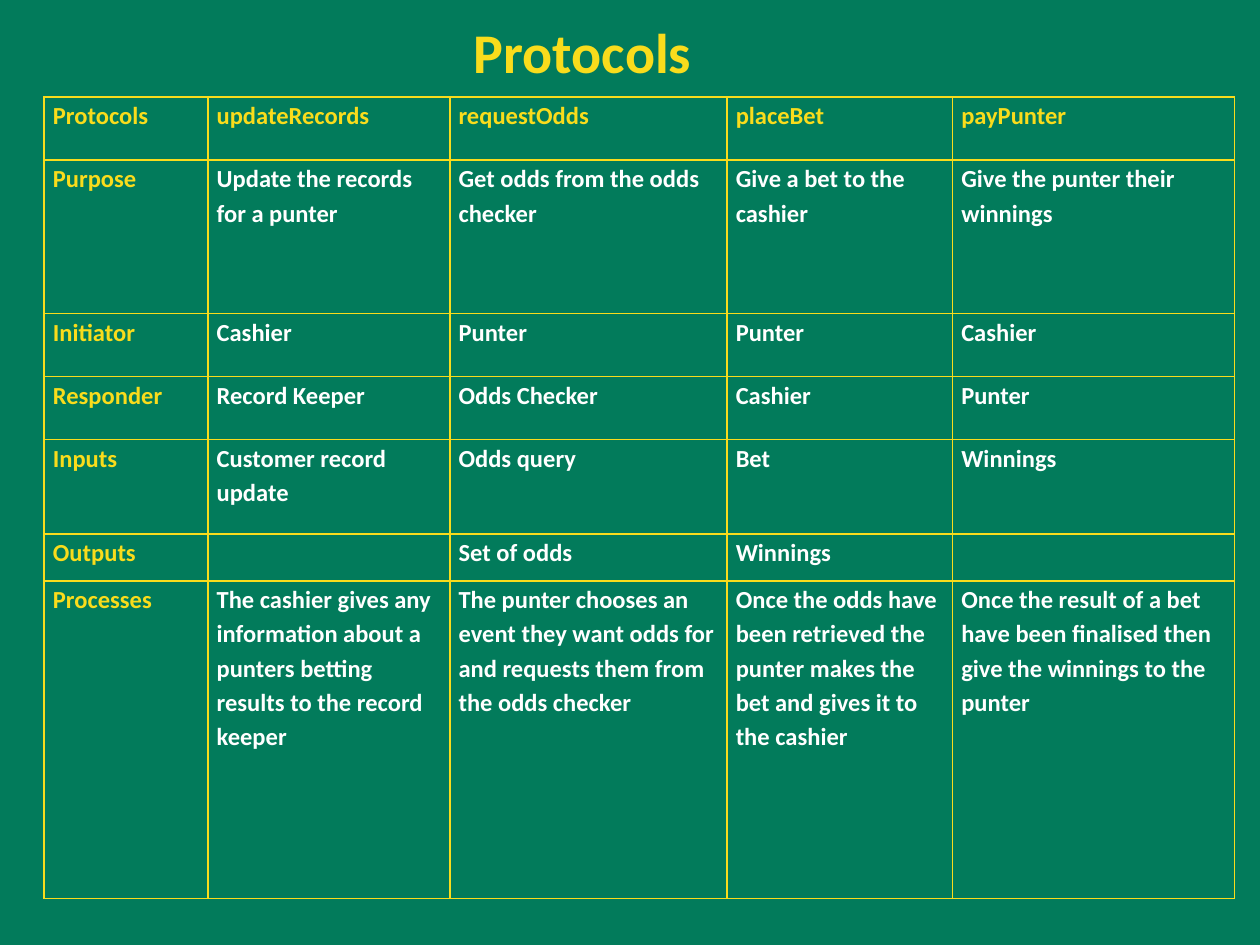
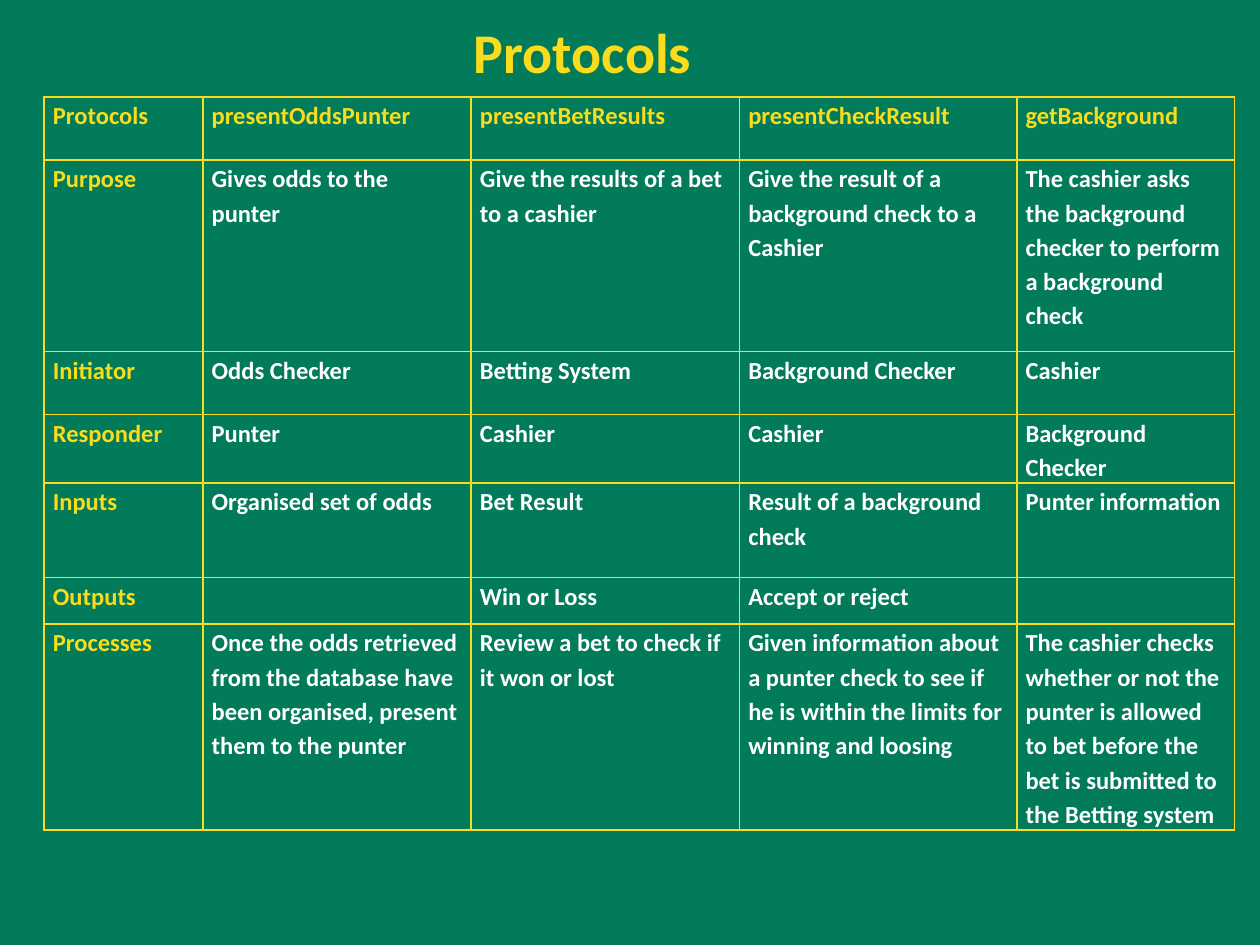
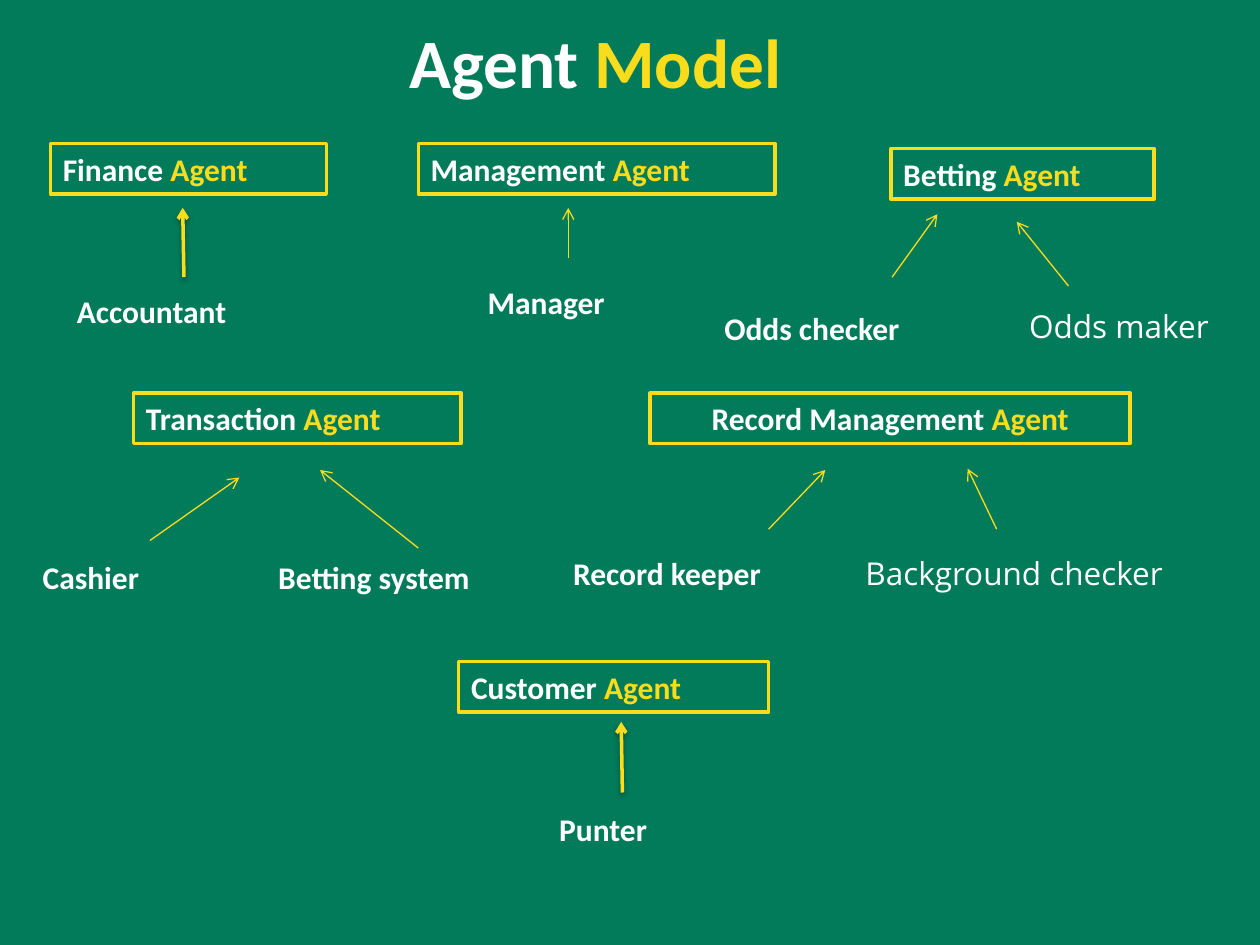
from dataclasses import dataclass

from lxml.etree import SubElement
from pptx import Presentation
from pptx.dml.color import RGBColor
from pptx.enum.shapes import MSO_CONNECTOR, MSO_SHAPE
from pptx.enum.text import MSO_ANCHOR, MSO_AUTO_SIZE, PP_ALIGN
from pptx.oxml import parse_xml
from pptx.oxml.ns import nsdecls, qn
from pptx.util import Inches, Pt

COLORS = {"green": "027B5B", "yellow": "F9DC1C", "white": "FFFFFF", "shadow": "000000"}
FONT = "Calibri"
ROLE_FONT = "Open Sans"
BOX_HEIGHT = 0.4


@dataclass
class Role:
    """A role under an agent; every position is relative to the agent's box."""
    name: str
    place: tuple
    width: float
    arrow: tuple
    heavy: bool = False
    font: str = FONT
    indent: float = 0


@dataclass
class Agent:
    name: str
    place: tuple
    width: float
    roles: list
    align: PP_ALIGN = PP_ALIGN.LEFT


ROW_LABELS = ["Protocols", "Purpose", "Initiator", "Responder", "Inputs", "Outputs", "Processes"]

BETTING_PROTOCOLS = [
    ["updateRecords", "Update the records for a punter", "Cashier", "Record Keeper",
     "Customer record update", "",
     "The cashier gives any information about a punters betting results to the record keeper"],
    ["requestOdds", "Get odds from the odds checker", "Punter", "Odds Checker",
     "Odds query", "Set of odds",
     "The punter chooses an event they want odds for and requests them from the odds checker"],
    ["placeBet", "Give a bet to the cashier", "Punter", "Cashier", "Bet", "Winnings",
     "Once the odds have been retrieved the punter makes the bet and gives it to the cashier"],
    ["payPunter", "Give the punter their winnings", "Cashier", "Punter", "Winnings", "",
     "Once the result of a bet have been finalised then give the winnings to the punter"],
]

CHECKING_PROTOCOLS = [
    ["presentOddsPunter", "Gives odds to the punter", "Odds Checker", "Punter",
     "Organised set of odds", "",
     "Once the odds retrieved from the database have been organised, present them to the punter"],
    ["presentBetResults", "Give the results of a bet to a cashier", "Betting System", "Cashier",
     "Bet Result", "Win or Loss", "Review a bet to check if it won or lost"],
    ["presentCheckResult", "Give the result of a background check to a Cashier",
     "Background Checker", "Cashier", "Result of a background check", "Accept or reject",
     "Given information about a punter check to see if he is within the limits for "
     "winning and loosing"],
    ["getBackground", "The cashier asks the background checker to perform a background check",
     "Cashier", "Background Checker", "Punter information", "",
     "The cashier checks whether or not the punter is allowed to bet before the bet is "
     "submitted to the Betting system"],
]

AGENTS = [
    Agent("Finance", (0.4, 1.14), 2.19, [
        Role("Accountant", (0, 1.13), 2.05, (1.06, 1.06, 1.05, 0.51), heavy=True, indent=0.11)]),
    Agent("Management", (3.32, 1.14), 2.83, [
        Role("Manager", (0.34, 1.06), 1.65, (1.19, 0.91, 1.19, 0.51), indent=0.11)]),
    Agent("Betting", (7.07, 1.18), 2.09, [
        Role("Odds checker", (-1.42, 1.22), 2.15, (0.01, 1.02, 0.37, 0.52)),
        Role("Odds maker", (1, 1.21), 1.93, (1.41, 1.09, 1, 0.58), font=ROLE_FONT)]),
    Agent("Transaction", (1.06, 3.12), 2.6, [
        Role("Cashier", (-0.82, 1.26), 1.27, (0.13, 1.17, 0.84, 0.67)),
        Role("Betting system", (1.05, 1.26), 2.35, (2.26, 1.23, 1.48, 0.61))]),
    Agent("Record Management", (5.16, 3.12), 3.81, [
        Role("Record keeper", (-0.71, 1.23), 2.4, (0.94, 1.08, 1.39, 0.61)),
        Role("Background checker", (1.61, 1.23), 3.16, (2.75, 1.08, 2.52, 0.6),
             font=ROLE_FONT)], PP_ALIGN.CENTER),
    Agent("Customer", (3.64, 5.25), 2.46, [
        Role("Punter", (0.7, 1.13), 1.2, (1.3, 1.04, 1.29, 0.48), heavy=True)]),
]


def rgb(name):
    return RGBColor.from_string(COLORS[name])


def add_span(para, text, size, color, font=FONT):
    span = para.add_run()
    span.text = text
    span.font.name = font
    span.font.size = Pt(size)
    span.font.bold = font == FONT
    span.font.color.rgb = rgb(color)


def add_title_page(deck, box, spans, size, align=PP_ALIGN.LEFT, anchor=MSO_ANCHOR.TOP):
    """Add a page whose title holds the given (text, color) spans."""
    page = deck.slides.add_slide(deck.slide_layouts[5])
    title = page.shapes.title
    title.left, title.top, title.width, title.height = map(Inches, box)
    frame = title.text_frame
    frame.auto_size = MSO_AUTO_SIZE.NONE
    frame.vertical_anchor = anchor
    para = frame.paragraphs[0]
    para.alignment = align
    for text, color in spans:
        add_span(para, text, size, color)
    return page


def style_cell(cell):
    cell.fill.background()
    cell.margin_left = cell.margin_right = Inches(0.07)
    cell.margin_top = cell.margin_bottom = 0
    properties = cell._tc.get_or_add_tcPr()
    for index, side in enumerate(("lnL", "lnR", "lnT", "lnB")):
        properties.insert(index, parse_xml(
            f'<a:{side} {nsdecls("a")} w="{Pt(1)}"><a:solidFill>'
            f'<a:srgbClr val="{COLORS["yellow"]}"/></a:solidFill></a:{side}>'))


def add_protocol_table(page, left, top, widths, heights, protocols):
    columns = [ROW_LABELS] + protocols
    table = page.shapes.add_table(
        len(heights), len(widths), Inches(left), Inches(top),
        Inches(sum(widths)), Inches(sum(heights))).table
    table.first_row = table.horz_banding = False
    for row, height in zip(table.rows, heights):
        row.height = Inches(height)
    for column_index, (width, texts) in enumerate(zip(widths, columns)):
        table.columns[column_index].width = Inches(width)
        for row_index, text in enumerate(texts):
            cell = table.cell(row_index, column_index)
            style_cell(cell)
            para = cell.text_frame.paragraphs[0]
            para.line_spacing = 1.15
            if text:
                heading = row_index == 0 or column_index == 0
                add_span(para, text, 14, "yellow" if heading else "white")


def protocol_page(deck, widths, heights, protocols):
    page = add_title_page(deck, (3.66, 0.09, 2.36, 0.64), [("Protocols", "yellow")], 32)
    add_protocol_table(page, 0.35, 0.77, widths, heights, protocols)


def add_arrow(page, left, top, arrow, heavy):
    """Draw an arrow from its first to its second point; a heavy one casts a shadow."""
    x1, y1, x2, y2 = arrow
    line = page.shapes.add_connector(
        MSO_CONNECTOR.STRAIGHT, Inches(left + x1), Inches(top + y1),
        Inches(left + x2), Inches(top + y2))
    line.line.color.rgb = rgb("yellow")
    line.line.width = Pt(2 if heavy else 0.75)
    SubElement(line.line._get_or_add_ln(), qn("a:tailEnd"), type="arrow")
    effects = SubElement(line._element.spPr, qn("a:effectLst"))
    if heavy:
        shadow = SubElement(effects, qn("a:outerShdw"), blurRad=str(Pt(3.1)),
                            dist=str(Pt(1.6)), dir="5400000", rotWithShape="0")
        color = SubElement(shadow, qn("a:srgbClr"), val=COLORS["shadow"])
        SubElement(color, qn("a:alpha"), val="38000")


def add_role(page, left, top, role):
    dx, dy = role.place
    label = page.shapes.add_textbox(
        Inches(left + dx), Inches(top + dy), Inches(role.width), Inches(BOX_HEIGHT))
    frame = label.text_frame
    frame.word_wrap = True
    frame.margin_left = Inches(0.1 + role.indent)
    add_span(frame.paragraphs[0], role.name, 18, "white", role.font)
    add_arrow(page, left, top, role.arrow, role.heavy)


def add_agent(page, agent):
    left, top = agent.place
    box = page.shapes.add_shape(
        MSO_SHAPE.RECTANGLE, Inches(left), Inches(top), Inches(agent.width), Inches(BOX_HEIGHT))
    box.shadow.inherit = False
    box.fill.solid()
    box.fill.fore_color.rgb = rgb("green")
    box.line.color.rgb = rgb("yellow")
    box.line.width = Pt(2)
    frame = box.text_frame
    frame.word_wrap = True
    frame.vertical_anchor = MSO_ANCHOR.TOP
    para = frame.paragraphs[0]
    para.alignment = agent.align
    add_span(para, agent.name, 18, "white")
    add_span(para, " Agent", 18, "yellow")
    for role in agent.roles:
        add_role(page, left, top, role)


def agent_page(deck):
    page = add_title_page(
        deck, (2.01, 0.21, 5.43, 0.55), [("Agent", "white"), (" Model", "yellow")],
        39.6, PP_ALIGN.CENTER, MSO_ANCHOR.MIDDLE)
    for agent in AGENTS:
        add_agent(page, agent)


def main():
    deck = Presentation()
    deck.slide_width, deck.slide_height = Inches(10), Inches(7.5)
    background = deck.slide_master.background.fill
    background.solid()
    background.fore_color.rgb = rgb("green")
    protocol_page(deck, [1.3, 1.92, 2.2, 1.79, 2.24],
                  [0.5, 1.22, 0.5, 0.5, 0.75, 0.37, 2.52], BETTING_PROTOCOLS)
    protocol_page(deck, [1.26, 2.13, 2.13, 2.2, 1.73],
                  [0.5, 1.52, 0.5, 0.5, 0.75, 0.37, 1.58], CHECKING_PROTOCOLS)
    agent_page(deck)
    deck.save("out.pptx")


if __name__ == "__main__":
    main()
